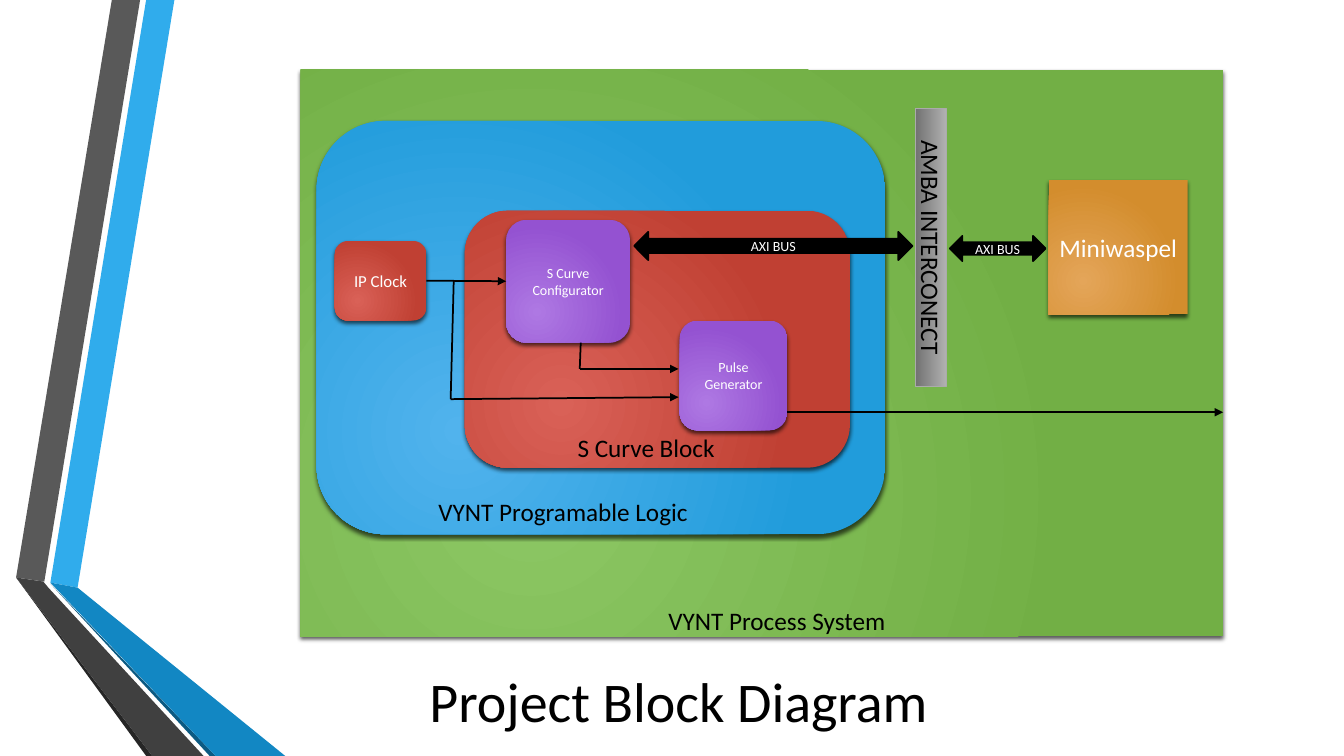
from dataclasses import dataclass

from lxml.etree import SubElement
from pptx import Presentation
from pptx.dml.color import RGBColor as Rgb
from pptx.enum.shapes import MSO_CONNECTOR as Link, MSO_SHAPE as Shape
from pptx.enum.text import MSO_ANCHOR as Anchor, PP_ALIGN as Align
from pptx.oxml.ns import qn
from pptx.util import Inches, Pt


@dataclass(frozen=True)
class Theme:
    """Colours, gradients and type sizes of the slide."""
    font: str = "Calibri"
    ink: str = "000000"
    paper: str = "FFFFFF"
    green: tuple = ("8CC764", "72AF45")
    orange: tuple = ("E4A559", "D38D2D")
    blue: tuple = ("51B3ED", "219CDB")
    red: tuple = ("D96157", "C04033")
    purple: tuple = ("AE78E3", "9452D1")
    gray: tuple = ("B2B2B2", "737373")
    gray_edge: str = "ABABAB"
    sky: str = "30ACEC"
    sea: str = "1287C3"
    navy: str = "0C5A82"
    slate: str = "595959"
    coal: str = "404040"
    soot: str = "262626"
    title: int = 40
    label: int = 18
    block: int = 12
    small: int = 10
    stroke: float = 1.25
    edge: float = 0.75


class Diagram:
    """Draws blocks, labels and wires on one page in one theme."""

    def __init__(self, page, theme):
        self.page, self.theme = page, theme

    def caption(self, box, text, size, color, align=Align.CENTER, anchor=Anchor.MIDDLE):
        frame = box.text_frame
        frame.word_wrap = True
        frame.vertical_anchor = anchor
        style = {"name": self.theme.font, "size": Pt(size)}
        for index, line in enumerate(text.split("\n")):
            para = frame.add_paragraph() if index else frame.paragraphs[0]
            para.alignment = align
            span = para.add_run()
            span.text = line
            for key, value in style.items():
                setattr(span.font, key, value)
            span.font.color.rgb = Rgb.from_string(color)

    def label(self, place, text, size=None, align=Align.LEFT, anchor=Anchor.TOP):
        box = self.page.shapes.add_textbox(*map(Inches, place))
        self.caption(box, text, size or self.theme.label, self.theme.ink, align, anchor)

    def shape(self, kind, place):
        box = self.page.shapes.add_shape(kind, *map(Inches, place))
        box.shadow.inherit = False
        return box

    def blend(self, box, colors):
        box.fill.gradient()
        for stop, color, position in zip(box.fill.gradient_stops, colors, (0, 1)):
            stop.color.rgb = Rgb.from_string(color)
            stop.position = position

    def outline(self, box, color, width):
        box.line.color.rgb = Rgb.from_string(color)
        box.line.width = Pt(width)

    def block(self, kind, place, colors, text="", size=None):
        box = self.shape(kind, place)
        self.blend(box, colors)
        box.line.fill.background()
        props = box._element.spPr
        gradient = props.find(qn("a:gradFill"))
        gradient.remove(gradient.find(qn("a:lin")))
        glow = SubElement(gradient, qn("a:path"), path="circle")
        SubElement(glow, qn("a:fillToRect"), l="50000", t="100000", r="100000", b="50000")
        shadow = SubElement(props.find(qn("a:effectLst")), qn("a:outerShdw"),
                            blurRad="38100", dist="25400", dir="5400000", rotWithShape="0")
        shade = SubElement(shadow, qn("a:srgbClr"), val=self.theme.ink)
        SubElement(shade, qn("a:alpha"), val="64000")
        if text:
            self.caption(box, text, size, self.theme.paper)
        return box

    def bar(self, place, text):
        box = self.shape(Shape.RECTANGLE, place)
        self.blend(box, self.theme.gray)
        box.fill.gradient_angle = 270
        box.rotation = 90
        self.outline(box, self.theme.gray_edge, self.theme.edge)
        self.caption(box, text, self.theme.label, self.theme.ink)

    def bus(self, place, text):
        box = self.shape(Shape.LEFT_RIGHT_ARROW, place)
        box.fill.solid()
        box.fill.fore_color.rgb = Rgb.from_string(self.theme.ink)
        self.outline(box, self.theme.ink, self.theme.stroke)
        self.caption(box, text, self.theme.small, self.theme.paper)

    def wire(self, start, end, arrow=True):
        wire = self.page.shapes.add_connector(Link.STRAIGHT, *map(Inches, start + end))
        self.outline(wire, self.theme.ink, self.theme.stroke)
        if arrow:
            SubElement(wire._element.spPr.find(qn("a:ln")), qn("a:tailEnd"), type="triangle")
        SubElement(wire._element.spPr, qn("a:effectLst"))
        return wire

    def ribbon(self, color, points):
        corners = [tuple(map(Inches, point)) for point in points]
        builder = self.page.shapes.build_freeform(*corners[0], scale=1.0)
        builder.add_line_segments(corners[1:], close=True)
        piece = builder.convert_to_shape()
        piece.shadow.inherit = False
        piece.fill.solid()
        piece.fill.fore_color.rgb = Rgb.from_string(color)
        piece.line.fill.background()


def main():
    theme = Theme()
    deck = Presentation()
    deck.slide_width, deck.slide_height = Inches(13.33), Inches(7.5)
    page = deck.slides.add_slide(deck.slide_layouts[6])
    draw = Diagram(page, theme)
    square, rounded = Shape.RECTANGLE, Shape.ROUNDED_RECTANGLE

    ribbons = [
        (theme.sky, [(0.5, 5.78), (0.77, 5.83), (1.73, 0), (1.45, 0)]),
        (theme.slate, [(1.39, 0), (1.11, 0), (0.16, 5.73), (0.44, 5.77)]),
        (theme.soot, [(0.16, 5.73), (1.45, 7.5), (1.51, 7.5)]),
        (theme.navy, [(0.5, 5.79), (2.08, 7.5), (2.14, 7.5)]),
        (theme.sea, [(0.5, 5.78), (2.14, 7.5), (2.83, 7.5), (0.77, 5.83)]),
        (theme.coal, [(2.02, 7.5), (0.48, 5.83), (0.43, 5.77), (0.16, 5.73), (1.51, 7.5)]),
    ]
    for color, points in ribbons:
        draw.ribbon(color, points)

    draw.block(square, (2.98, 0.69, 9.15, 5.62), theme.green)
    draw.label((6.53, 5.96, 2.85, 0.4), "VYNT Process System")
    draw.block(square, (10.4, 1.79, 1.38, 1.33), theme.orange, "Miniwaspel", theme.label)
    draw.bar((7.86, 2.3, 2.75, 0.31), "AMBA INTERCONECT")
    draw.block(rounded, (3.14, 1.2, 5.64, 4.1), theme.blue)
    draw.label((4.25, 4.87, 3.23, 0.43), "VYNT Programable Logic")
    clock = draw.block(rounded, (3.32, 2.39, 0.91, 0.79), theme.red, "IP Clock", theme.block)
    draw.block(rounded, (4.61, 2.09, 3.82, 2.55), theme.red)
    draw.label((5.63, 4.24, 3.26, 0.4), "S Curve Block")
    configurator = draw.block(rounded, (5.02, 2.18, 1.23, 1.22), theme.purple,
                              "S Curve\nConfigurator", theme.small)
    draw.block(rounded, (6.74, 3.18, 1.07, 1.09), theme.purple, "Pulse Generator", theme.small)

    clock_wire = draw.wire((4.23, 2.79), (5.02, 2.79))
    clock_wire.begin_connect(clock, 3)
    clock_wire.end_connect(configurator, 1)
    draw.wire((4.5, 2.79), (4.47, 3.96), arrow=False)
    draw.wire((4.47, 3.96), (6.73, 3.94))
    draw.wire((5.76, 3.4), (5.75, 3.66), arrow=False)
    draw.wire((5.75, 3.66), (6.73, 3.66))
    draw.wire((7.81, 4.09), (12.13, 4.09))
    for place in ((6.29, 2.3, 2.76, 0.28), (9.42, 2.34, 0.95, 0.25)):
        draw.bus(place, "AXI BUS")

    draw.label((1.25, 5.99, 10.96, 1.92), "Project Block Diagram", theme.title,
               Align.CENTER, Anchor.MIDDLE)
    deck.save("out.pptx")


if __name__ == "__main__":
    main()
